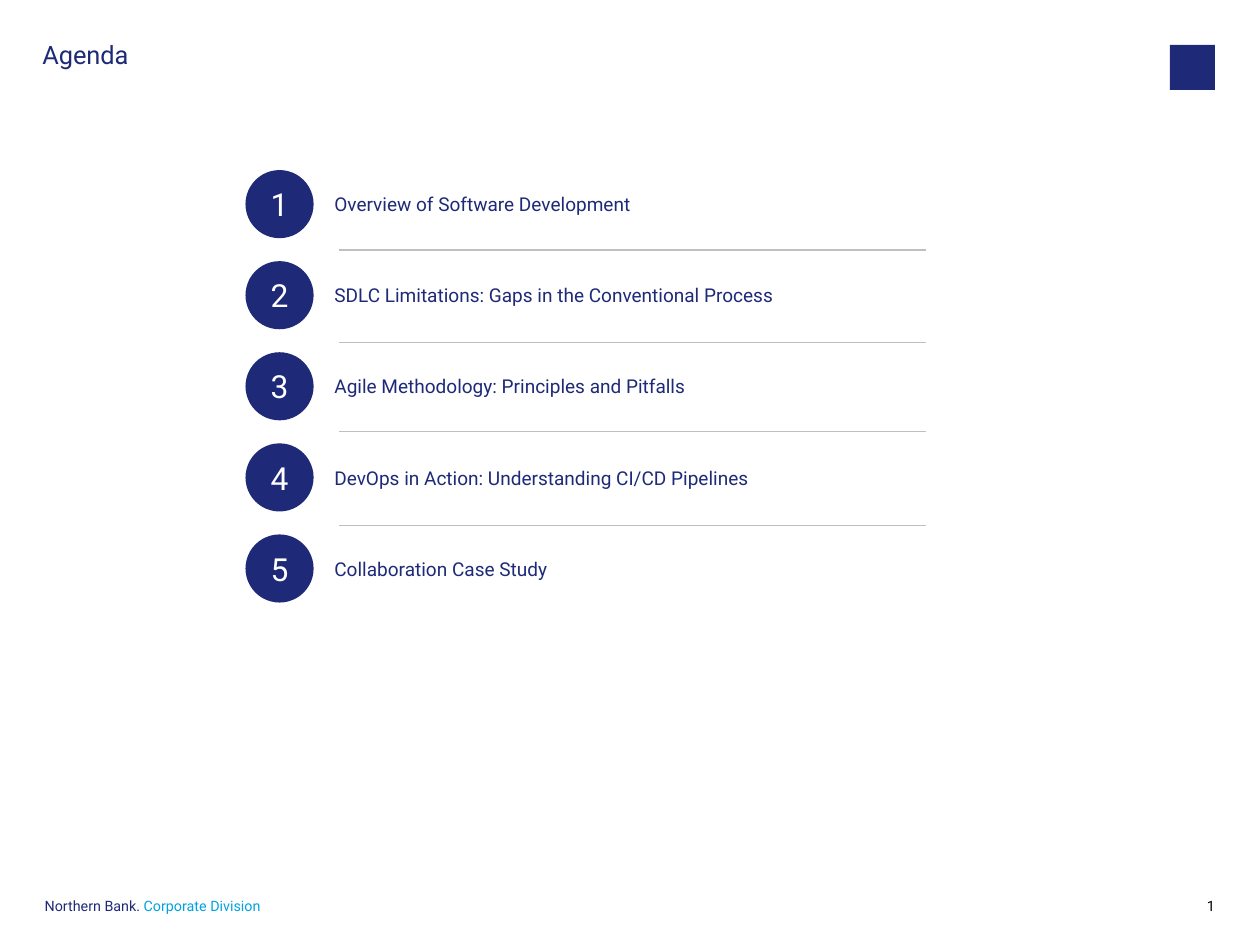
import pptx
import pptx.util
import pptx.dml.color
import pptx.enum.text
import pptx.enum.shapes
import pptx.oxml
import lxml.etree
from collections import namedtuple
from dataclasses import dataclass

Box = namedtuple("Box", "col row wide high")
Align = pptx.enum.text.PP_ALIGN
Anchor = pptx.enum.text.MSO_ANCHOR
Shape = pptx.enum.shapes.MSO_SHAPE


@dataclass(frozen=True)
class Theme:
    font: str = "Roboto"
    navy: str = "1E2A78"
    sky: str = "00A3E0"
    white: str = "FFFFFF"
    black: str = "000000"
    rule: str = "BFBFBF"
    title: int = 16
    digit: int = 20
    body: int = 12
    small: int = 9


THEME = Theme()
CELL = 0.1
PITCH = 7.97
LEVELS = [7, 15.1, 22.9, 31.1]
TOPICS = [
    "Overview of Software Development",
    "SDLC Limitations: Gaps in the Conventional Process",
    "Agile Methodology: Principles and Pitfalls",
    "DevOps in Action: Understanding CI/CD Pipelines",
    "Collaboration Case Study",
]


def grid(cells):
    return pptx.util.Inches(cells * CELL)


def place(box):
    return [grid(cells) for cells in box]


def color(code):
    return pptx.dml.color.RGBColor.from_string(code)


def style(run, size, code):
    run.font.name = THEME.font
    run.font.size = pptx.util.Pt(size)
    run.font.color.rgb = color(code)


def write(frame, parts, size, align=Align.LEFT, anchor=Anchor.TOP, inset=0):
    frame.word_wrap = True
    frame.auto_size = pptx.enum.text.MSO_AUTO_SIZE.NONE
    frame.vertical_anchor = anchor
    frame.margin_left = frame.margin_right = grid(inset)
    frame.margin_top = frame.margin_bottom = 0
    para = frame.paragraphs[0]
    para.alignment = align
    for text, code in parts:
        run = para.add_run()
        run.text = text
        style(run, size, code)
    return para


def solid(slide, kind, box):
    shape = slide.shapes.add_shape(kind, *place(box))
    shape.shadow.inherit = False
    shape.fill.solid()
    shape.fill.fore_color.rgb = color(THEME.navy)
    shape.line.fill.background()
    return shape


def header(slide, box):
    title = slide.shapes.title
    title.left, title.top, title.width, title.height = place(
        box._replace(wide=94.7))
    para = write(title.text_frame, [("Agenda", THEME.navy)], THEME.title)
    para.line_spacing = 0.9
    side = 3.94
    solid(slide, Shape.RECTANGLE,
          Box(box.col + box.wide - side, box.row + 0.22, side, side))


def topic(slide, box, digit, text):
    disc = solid(slide, Shape.OVAL, box._replace(wide=box.high))
    write(disc.text_frame, [(str(digit), THEME.white)], THEME.digit,
          Align.CENTER, Anchor.MIDDLE)
    indent = box.high + 0.83
    label = slide.shapes.add_textbox(*place(
        box._replace(col=box.col + indent, wide=box.wide - indent)))
    write(label.text_frame, [(text, THEME.navy)], THEME.body,
          anchor=Anchor.MIDDLE, inset=1)


def rule(slide, box, drop):
    left, right = grid(box.col + 8.2), grid(box.col + box.wide - 2.4)
    level = grid(box.row + drop)
    line = slide.shapes.add_connector(
        pptx.enum.shapes.MSO_CONNECTOR.STRAIGHT, left, level, right, level)
    line.line.color.rgb = color(THEME.rule)
    line.line.width = pptx.util.Pt(0.75)
    tag = pptx.oxml.ns.qn("a:effectLst")
    lxml.etree.SubElement(line._element.spPr, tag)


def agenda(slide, box):
    for index, text in enumerate(TOPICS):
        row = box._replace(row=box.row + index * PITCH, high=5.96)
        topic(slide, row, index + 1, text)
    for drop in LEVELS:
        rule(slide, box, drop)


def footer(slide, box):
    brand = [("Northern Bank. ", THEME.navy),
             ("Corporate Division", THEME.sky)]
    page = [("1", THEME.black)]
    wide = 3.94
    spots = [
        (box._replace(wide=21.9), brand, Align.LEFT),
        (box._replace(col=box.col + box.wide - wide, wide=wide),
         page, Align.RIGHT),
    ]
    for spot, parts, align in spots:
        label = slide.shapes.add_textbox(*place(spot))
        para = write(label.text_frame, parts, THEME.small, align)
        para.line_spacing = pptx.util.Pt(9)


def main():
    deck = pptx.Presentation()
    deck.slide_width = pptx.util.Cm(28)
    deck.slide_height = pptx.util.Cm(21)
    slide = deck.slides.add_slide(deck.slide_layouts[5])
    header(slide, Box(3.7, 3.7, 102.6, 6.1))
    agenda(slide, Box(21.48, 14.88, 61.9, 38))
    footer(slide, Box(3.9, 78.75, 102.4, 2))
    deck.save("out.pptx")


if __name__ == "__main__":
    main()
